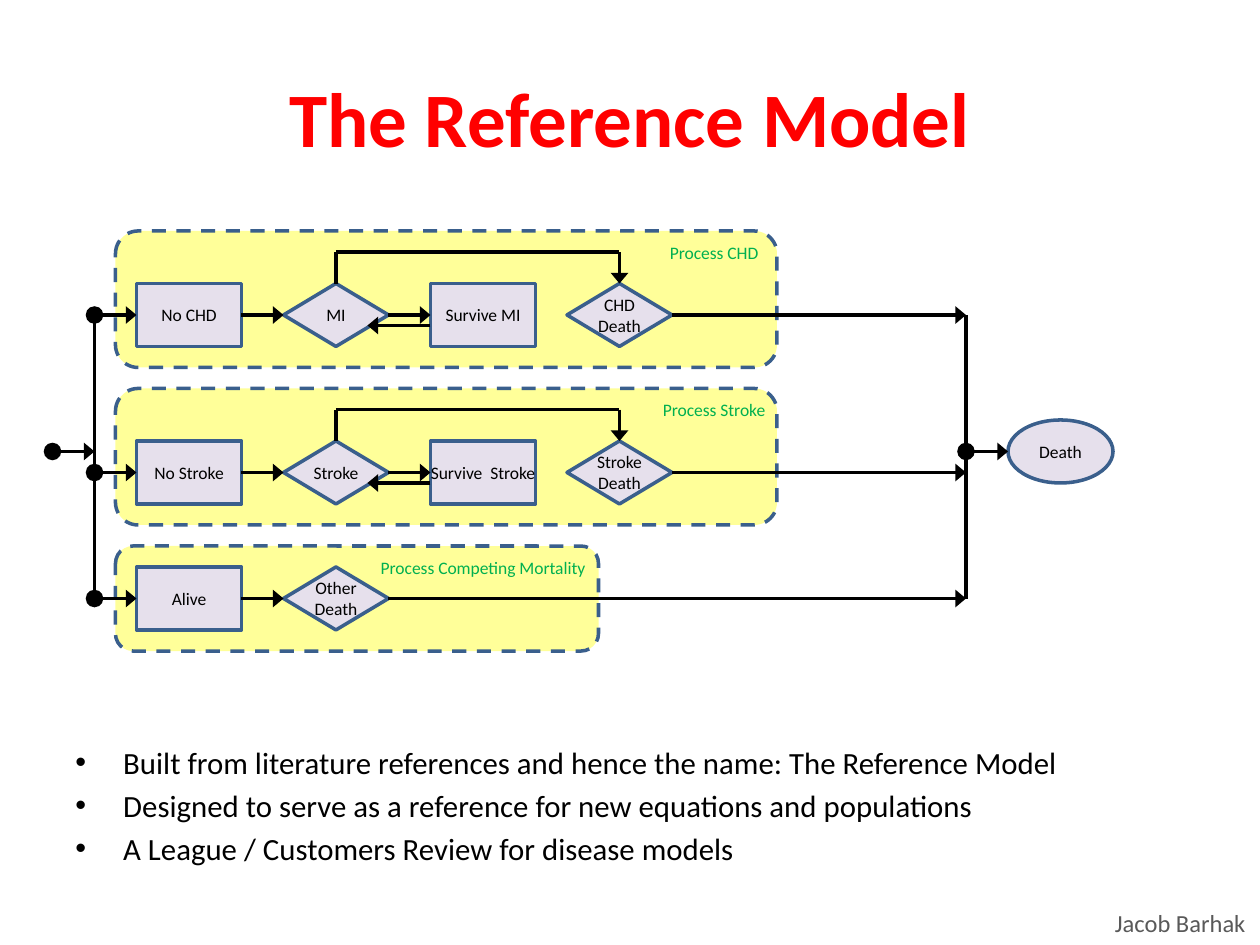
import pptx
import pptx.util
import pptx.dml.color
import pptx.enum.dml
import pptx.enum.shapes
import pptx.enum.text
from lxml import etree

RGB = pptx.dml.color.RGBColor
KIND = pptx.enum.shapes.MSO_SHAPE
ALIGN = pptx.enum.text.PP_ALIGN
ANCHOR = pptx.enum.text.MSO_ANCHOR
Inches, Pt = pptx.util.Inches, pptx.util.Pt

RED = RGB(0xFF, 0x00, 0x00)
GREEN = RGB(0x00, 0xB0, 0x50)
BLACK = RGB(0x00, 0x00, 0x00)
GREY = RGB(0x59, 0x59, 0x59)
YELLOW = RGB(0xFF, 0xFF, 0x99)
LILAC = RGB(0xE6, 0xE0, 0xEC)
BLUE = RGB(0x3A, 0x5F, 0x8C)

TITLE = "The Reference Model"
AUTHOR = "Jacob Barhak"
POINTS = [
    "Built from literature references and hence the name: The Reference Model",
    "Designed to serve as a reference for new equations and populations",
    "A League / Customers Review for disease models",
]
# The diagram lies on a grid of 12 cells to the inch.
# Each process: name, label width, frame (top, width, height), row middle, states
FLOWS = [
    ("Process CHD", 10, (22, 63, 13), 30,
     ["No CHD", "MI", "Survive MI", "CHD Death"]),
    ("Process Stroke", 10, (37, 63, 13), 45,
     ["No Stroke", "Stroke", "Survive  Stroke", "Stroke Death"]),
    ("Process Competing Mortality", 22, (52, 46, 10), 57,
     ["Alive", "Other Death"]),
]
COLS = [13, 27, 41, 54]
KINDS = [KIND.RECTANGLE, KIND.FLOWCHART_DECISION] * 2
WIDE, HIGH = 10, 6
LEFT, EDGE, BUS, END = 5, 11, 9, 92
MID = 43
TOP, WEST, EAST = 0, 1, 3

deck = pptx.Presentation()
deck.slide_width, deck.slide_height = Inches(10), Inches(7.5)
slide = deck.slides.add_slide(deck.slide_layouts[6])


def cell(n):
    return Inches(n / 12)


def write(shape, lines, size=10, color=BLACK, bold=False, align=ALIGN.CENTER,
          anchor=ANCHOR.MIDDLE, wrap=True, side=0, after=0, bullet=False):
    frame = shape.text_frame
    frame.word_wrap = wrap
    frame.vertical_anchor = anchor
    frame.margin_left = frame.margin_right = Inches(side)
    frame.margin_top = frame.margin_bottom = Inches(0.05)
    for i, line in enumerate(lines):
        para = frame.add_paragraph() if i else frame.paragraphs[0]
        para.alignment = align
        para.space_after = Pt(after)
        run = para.add_run()
        run.text = line
        font = run.font
        font.name, font.size, font.bold = "Calibri", Pt(size), bold
        font.color.rgb = color
        if bullet:
            props = para._p.get_or_add_pPr()
            props.set("marL", str(Inches(0.38)))
            props.set("indent", str(-Inches(0.38)))
            face = etree.SubElement(props, pptx.oxml.ns.qn("a:buFont"))
            face.set("typeface", "Arial")
            mark = etree.SubElement(props, pptx.oxml.ns.qn("a:buChar"))
            mark.set("char", "•")


def label(x, y, w, h, lines, **look):
    box = slide.shapes.add_textbox(Inches(x), Inches(y), Inches(w), Inches(h))
    write(box, lines, **look)


def shape(kind, x, y, w, h, fill):
    item = slide.shapes.add_shape(kind, cell(x), cell(y), cell(w), cell(h))
    item.shadow.inherit = False
    item.fill.solid()
    item.fill.fore_color.rgb = fill
    item.line.color.rgb = BLUE
    item.line.width = Pt(2)
    return item


def state(kind, x, mid, text):
    item = shape(kind, x, mid - HIGH / 2, WIDE, HIGH, LILAC)
    write(item, [text])
    return item


def link(start, end, dot=False, arrow=True, first=None, last=None):
    """Line between grid points; first and last are (shape, site) to join."""
    line = slide.shapes.add_connector(
        pptx.enum.shapes.MSO_CONNECTOR.STRAIGHT, *map(cell, start + end))
    if first:
        line.begin_connect(*first)
    if last:
        line.end_connect(*last)
    line.line.color.rgb = BLACK
    line.line.width = Pt(2)
    stroke = line.line._get_or_add_ln()
    for on, tag, kind, size in ((dot, "a:headEnd", "oval", "lg"),
                                (arrow, "a:tailEnd", "triangle", "med")):
        if on:
            tip = etree.SubElement(stroke, pptx.oxml.ns.qn(tag))
            tip.set("type", kind)
            tip.set("w", "lg")
            tip.set("len", size)
    etree.SubElement(line._element.spPr, pptx.oxml.ns.qn("a:effectLst"))


def flow(name, width, frame, mid, names):
    top, wide, high = frame
    back = shape(KIND.ROUNDED_RECTANGLE, EDGE, top, wide, high, YELLOW)
    back.line.dash_style = pptx.enum.dml.MSO_LINE.DASH
    boxes = [state(kind, x, mid, text)
             for kind, x, text in zip(KINDS, COLS, names)]
    # Entry, steps between neighbours, and exit to the death line
    link((BUS, mid), (COLS[0], mid), dot=True, last=(boxes[0], WEST))
    for i in range(min(len(boxes) - 1, 2)):
        link((COLS[i] + WIDE, mid), (COLS[i + 1], mid),
             first=(boxes[i], EAST), last=(boxes[i + 1], WEST))
    link((COLS[len(boxes) - 1] + WIDE, mid), (END, mid),
         first=(boxes[-1], EAST))
    if len(boxes) == 4:
        # Direct path over the survivor, and the way back for a repeat event
        a, b = COLS[1] + WIDE / 2, COLS[3] + WIDE / 2
        roof, brow = mid - 6, mid - HIGH / 2
        link((a, roof), (b, roof), arrow=False)
        link((a, brow), (a, roof), arrow=False, first=(boxes[1], TOP))
        link((b, roof), (b, brow), last=(boxes[3], TOP))
        link((COLS[2], mid + 1), (COLS[2] - 6, mid + 1))
    right = 73 if len(boxes) == 4 else EDGE + wide
    label((right - width) / 12, top / 12, width / 12, 4 / 12, [name],
          color=GREEN)


label(8.75, 7.16, 1.25, 0.34, [AUTHOR], size=14, color=GREY, side=0.1,
      align=ALIGN.LEFT, anchor=ANCHOR.TOP, wrap=False)
label(0.5, 0.3, 9, 1.25, [TITLE], size=44, color=RED, bold=True, side=0.1)
label(0.5, 5.85, 9, 1.15, POINTS, size=17.6, side=0.1, after=3.5,
      align=ALIGN.LEFT, anchor=ANCHOR.TOP, bullet=True)

for item in FLOWS:
    flow(*item)
rows = [item[3] for item in FLOWS]
for x in (BUS, END):
    link((x, rows[0]), (x, rows[-1]), arrow=False)
link((LEFT, MID), (BUS, MID), dot=True)
state(KIND.OVAL, END + 4, MID, "Death")
link((END, MID), (END + 4, MID), dot=True)

deck.save("out.pptx")
